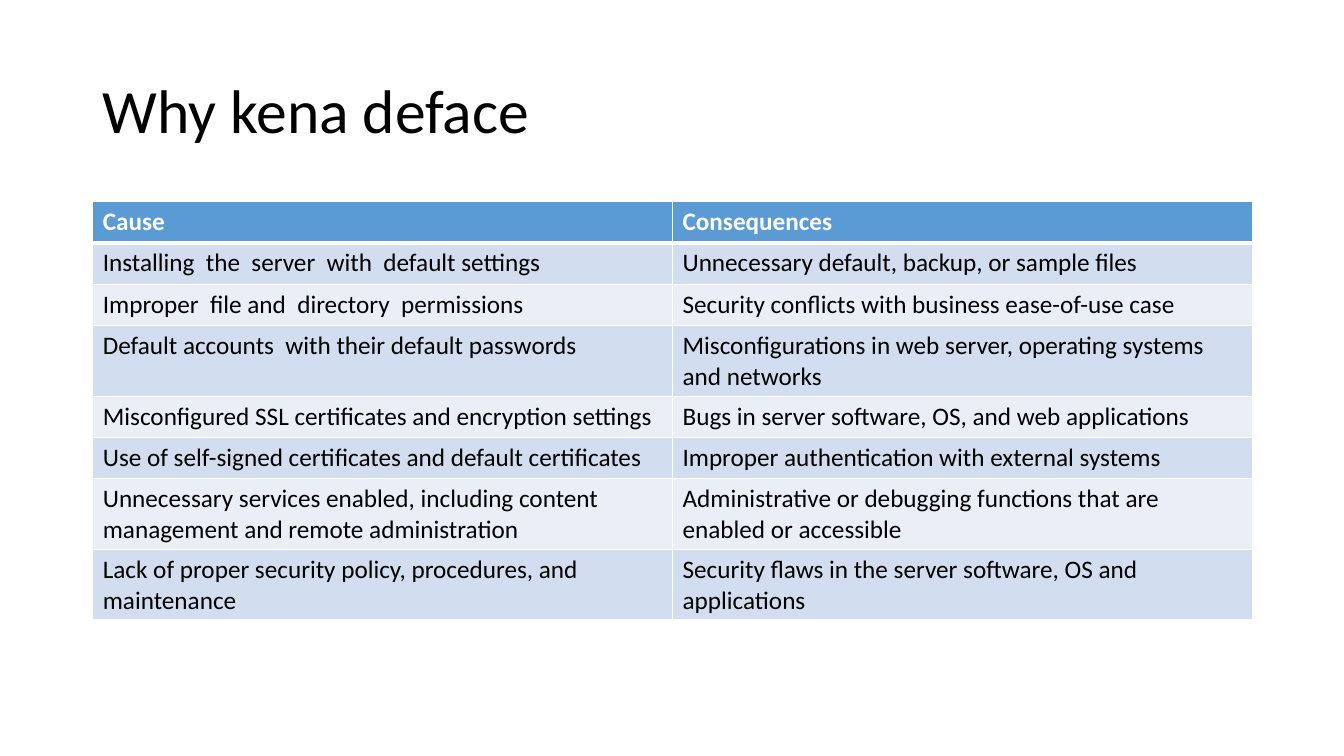
from dataclasses import dataclass

from lxml import etree
from pptx import Presentation
from pptx.dml.color import RGBColor
from pptx.enum import text
from pptx.oxml import ns
from pptx.util import Inches, Pt


@dataclass(frozen=True)
class Theme:
    font: str = "Calibri"
    ink: str = "000000"
    white: str = "FFFFFF"
    head: str = "5B9BD5"
    bands: tuple = ("D2DEEF", "EAEFF7")
    title: int = 44
    body: int = 18
    thin: int = 1
    thick: int = 3


class Deck:
    def __init__(self, theme):
        self.theme = theme
        self.prs = Presentation()
        self.prs.slide_width = Inches(13.33)
        self.prs.slide_height = Inches(7.5)
        self.slide = self.prs.slides.add_slide(self.prs.slide_layouts[6])

    def style(self, para, size, color, bold=False):
        for run in para.runs:
            font = run.font
            font.name = self.theme.font
            font.size = Pt(size)
            font.bold = bold
            font.color.rgb = RGBColor.from_string(color)

    def title(self, words, left, top, width, height):
        box = self.slide.shapes.add_textbox(
            Inches(left), Inches(top), Inches(width), Inches(height))
        frame = box.text_frame
        frame.word_wrap = True
        frame.vertical_anchor = text.MSO_ANCHOR.MIDDLE
        frame.text = words
        para = frame.paragraphs[0]
        para.line_spacing = 0.9
        self.style(para, self.theme.title, self.theme.ink)

    def border(self, cell, row):
        props = cell._tc.get_or_add_tcPr()
        heavy = {0: "lnB", 1: "lnT"}.get(row)
        for spot, side in enumerate(("lnL", "lnR", "lnT", "lnB")):
            width = self.theme.thick if side == heavy else self.theme.thin
            line = etree.Element(ns.qn(f"a:{side}"), w=str(Pt(width)))
            fill = etree.SubElement(line, ns.qn("a:solidFill"))
            etree.SubElement(fill, ns.qn("a:srgbClr"), val=self.theme.white)
            props.insert(spot, line)

    def cell(self, cell, words, row):
        theme = self.theme
        head = row == 0
        cell.text = words
        self.style(cell.text_frame.paragraphs[0], theme.body,
                   theme.white if head else theme.ink, head)
        cell.fill.solid()
        color = theme.head if head else theme.bands[(row - 1) % 2]
        cell.fill.fore_color.rgb = RGBColor.from_string(color)
        self.border(cell, row)

    def table(self, rows, left, top, width, height, step):
        frame = self.slide.shapes.add_table(
            len(rows), len(rows[0]),
            Inches(left), Inches(top), Inches(width), Inches(height))
        grid = frame.table
        for r, row in enumerate(rows):
            grid.rows[r].height = Inches(step)
            for c, words in enumerate(row):
                self.cell(grid.cell(r, c), words, r)
        frame.height = Inches(height)


ROWS = [
    ("Cause", "Consequences"),
    ("Installing  the  server  with  default settings",
     "Unnecessary default, backup, or sample files"),
    ("Improper  file and  directory  permissions",
     "Security conflicts with business ease-of-use case"),
    ("Default accounts  with their default passwords",
     "Misconfigurations in web server, operating systems and networks"),
    ("Misconfigured SSL certificates and encryption settings",
     "Bugs in server software, OS, and web applications"),
    ("Use of self-signed certificates and default certificates",
     "Improper authentication with external systems"),
    ("Unnecessary services enabled, including content management "
     "and remote administration",
     "Administrative or debugging functions that are enabled or accessible"),
    ("Lack of proper security policy, procedures, and maintenance",
     "Security flaws in the server software, OS and applications"),
]


def main():
    deck = Deck(Theme())
    deck.title("Why kena deface", 0.92, 0.4, 11.5, 1.45)
    deck.table(ROWS, 0.92, 2, 11.5, 4.13, 0.41)
    deck.prs.save("out.pptx")


if __name__ == "__main__":
    main()
